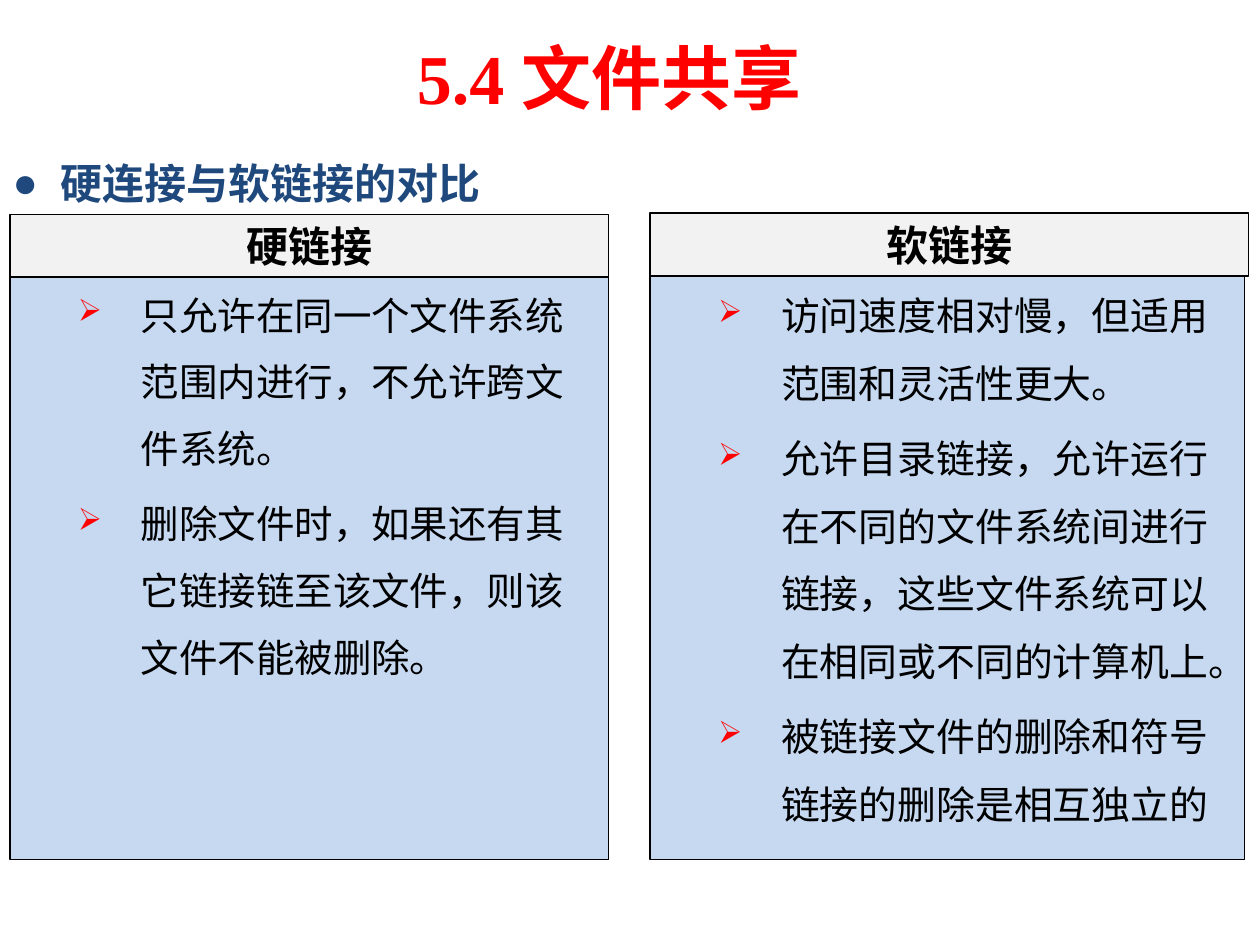
from lxml import etree
from pptx import Presentation
from pptx.dml.color import RGBColor
from pptx.enum.shapes import MSO_SHAPE
from pptx.enum.text import MSO_ANCHOR, MSO_AUTO_SIZE, PP_ALIGN
from pptx.oxml.ns import qn
from pptx.util import Inches, Pt

RECT = MSO_SHAPE.RECTANGLE
TOP, MIDDLE = MSO_ANCHOR.TOP, MSO_ANCHOR.MIDDLE
LEFT, CENTER = PP_ALIGN.LEFT, PP_ALIGN.CENTER
NO_FIT = MSO_AUTO_SIZE.NONE

RED = RGBColor(0xFF, 0x00, 0x00)
BLACK = RGBColor(0x00, 0x00, 0x00)
NAVY = RGBColor(0x1F, 0x49, 0x7D)
PALE_BLUE = RGBColor(0xC6, 0xD9, 0xF1)
PALE_GRAY = RGBColor(0xF2, 0xF2, 0xF2)

LATIN_FONT = "Times New Roman"
CJK_FONT = "Noto Sans CJK SC"
HEADER_HEIGHT = 0.5

HARD_LINK = [
    "只允许在同一个文件系统范围内进行，不允许跨文件系统。",
    "删除文件时，如果还有其它链接链至该文件，则该文件不能被删除。",
]
SOFT_LINK = [
    "访问速度相对慢，但适用范围和灵活性更大。",
    "允许目录链接，允许运行在不同的文件系统间进行链接，这些文件系统可以在相同或不同的计算机上。",
    "被链接文件的删除和符号链接的删除是相互独立的",
]


def place(s, left, top, width, height):
    s.left, s.top = Inches(left), Inches(top)
    s.width, s.height = Inches(width), Inches(height)


def write(s, lines, size, color, bold=False, font=CJK_FONT, align=LEFT, anchor=TOP):
    tf = s.text_frame
    tf.word_wrap = True
    tf.auto_size = NO_FIT
    tf.vertical_anchor = anchor
    tf.text = "\n".join(lines)
    for p in tf.paragraphs:
        p.alignment = align
        f = p.runs[0].font
        f.name, f.size, f.bold = font, Pt(size), bold
        f.color.rgb = color
        ea = etree.SubElement(p.runs[0]._r.get_or_add_rPr(), qn("a:ea"))
        ea.set("typeface", CJK_FONT)


def make_list(s, char, margin, hang, gap, color, percent=100):
    """Give every paragraph a hanging bullet and loose line spacing."""
    for i, p in enumerate(s.text_frame.paragraphs):
        p.line_spacing = 1.45
        p.space_before = Pt(gap if i else 0)
        pPr = p._p.get_or_add_pPr()
        pPr.set("marL", str(Inches(margin)))
        pPr.set("indent", str(-Inches(hang)))
        clr = etree.SubElement(pPr, qn("a:buClr"))
        etree.SubElement(clr, qn("a:srgbClr")).set("val", str(color))
        etree.SubElement(pPr, qn("a:buSzPct")).set("val", str(percent * 1000))
        etree.SubElement(pPr, qn("a:buChar")).set("char", char)


def add_box(slide, box, fill):
    s = slide.shapes.add_shape(RECT, *[Inches(v) for v in box])
    s.shadow.inherit = False
    s.fill.solid()
    s.fill.fore_color.rgb = fill
    s.line.color.rgb = BLACK
    s.line.width = Pt(0.75)
    return s


def add_title(slide, box):
    s = slide.shapes.title
    place(s, *box)
    write(s, ["5.4 文件共享"], 40, RED, True, LATIN_FONT, CENTER, MIDDLE)


def add_topic(slide, box):
    s = slide.placeholders[1]
    place(s, *box)
    write(s, ["硬连接与软链接的对比"], 24, NAVY, True)
    make_list(s, "●", 0.38, 0.38, 0, NAVY)


def add_column(slide, box, body_width, heading, points, size):
    left, top, width, height = box
    # Panel starts slightly behind the header
    body_top = 2.1
    body = add_box(slide, (left, body_top, body_width, top + height - body_top), PALE_BLUE)
    write(body, points, size, BLACK)
    make_list(body, "➢", 0.94, 0.5, size * 0.2, RED, 80)
    # Header bar
    header = add_box(slide, (left, top, width, HEADER_HEIGHT), PALE_GRAY)
    write(header, [heading], 24, BLACK, True, align=CENTER)


def main():
    prs = Presentation()
    prs.slide_width, prs.slide_height = Inches(10), Inches(7.5)
    slide = prs.slides.add_slide(prs.slide_layouts[1])
    add_title(slide, (0.92, 0.3, 7.83, 0.62))
    add_topic(slide, (0, 1.02, 10, 0.92))
    add_column(slide, (5.16, 1.69, 4.75, 5.13), 4.72, "软链接", SOFT_LINK, 22.2)
    add_column(slide, (0.08, 1.7, 4.75, 5.12), 4.75, "硬链接", HARD_LINK, 22)
    prs.save("out.pptx")


if __name__ == "__main__":
    main()
